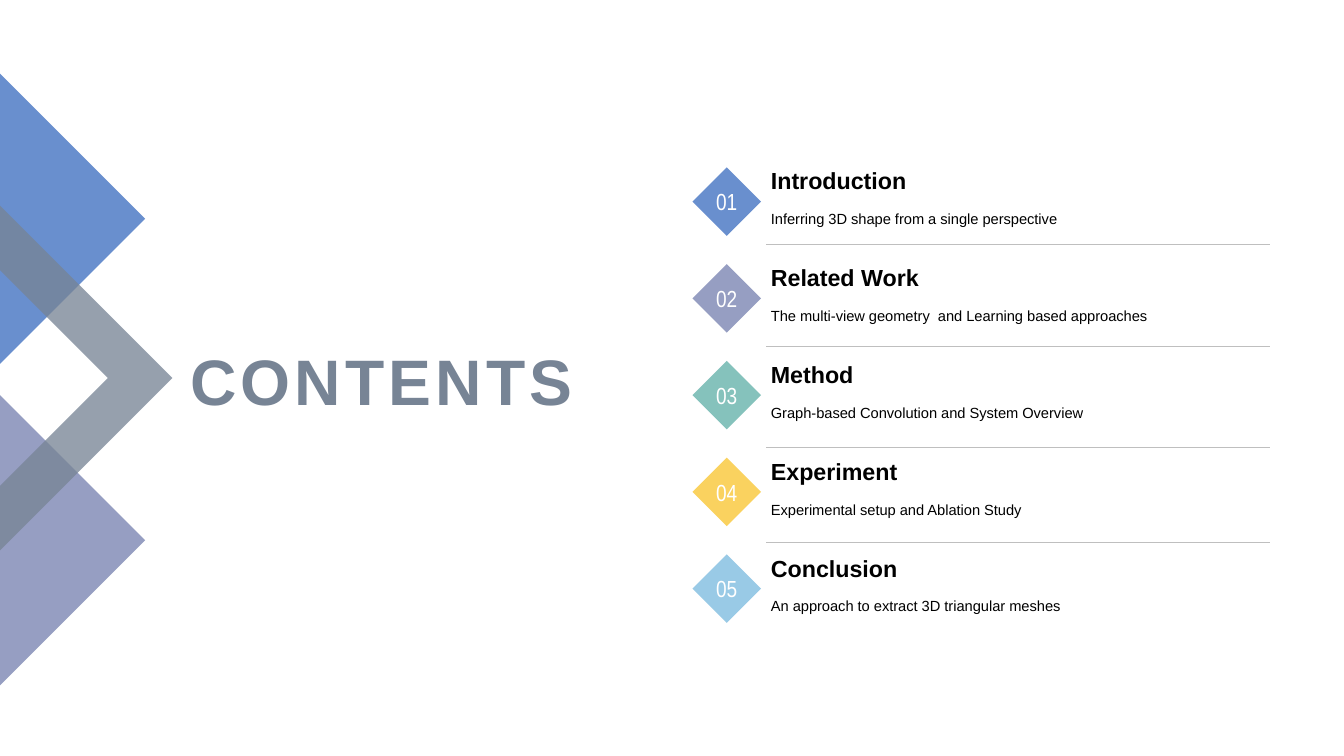
from lxml import etree
from pptx import Presentation
from pptx.dml.color import RGBColor
from pptx.enum.shapes import MSO_CONNECTOR, MSO_SHAPE
from pptx.enum.text import MSO_ANCHOR, PP_ALIGN
from pptx.oxml.ns import qn
from pptx.util import Pt

PX = 9144
HUES = {
    "blue": "698FCE", "mauve": "969EC2", "teal": "85C2BC", "gold": "FAD25F",
    "sky": "99CAE6", "slate": "778495", "rule": "BFBFBF",
    "black": "000000", "white": "FFFFFF",
}

deck = Presentation()
deck.slide_width, deck.slide_height = 12192000, 6858000
slide = deck.slides.add_slide(deck.slide_layouts[6])
shapes = slide.shapes


def paint(shape, hue):
    shape.shadow.inherit = False
    shape.fill.solid()
    shape.fill.fore_color.rgb = RGBColor.from_string(HUES[hue])
    shape.line.fill.background()


def write(shape, text, size, hue, anchor, align=PP_ALIGN.LEFT, face="Arial", bold=False, wrap=True):
    frame = shape.text_frame
    frame.word_wrap = wrap
    frame.vertical_anchor = anchor
    para = frame.paragraphs[0]
    para.text = text
    para.alignment = align
    font = para.font
    font.name, font.size, font.bold = face, Pt(size), bold
    font.color.rgb = RGBColor.from_string(HUES[hue])
    return para


wedges = [
    ("mauve", [(0, 392), (144, 536), (0, 680)]),
    ("blue", [(0, 73), (144, 217), (0, 361)]),
    ("slate", [(171, 375), (0, 546), (0, 482), (107, 375), (0, 268), (0, 204)]),
]
for hue, points in wedges:
    pen = shapes.build_freeform(*points[0], scale=PX)
    pen.add_line_segments(points[1:])
    wedge = pen.convert_to_shape()
    paint(wedge, hue)
    if hue == "slate":
        tint = wedge.fill._xPr.find(qn("a:solidFill"))[0]
        etree.SubElement(tint, qn("a:alpha")).set("val", "77000")

box = shapes.add_textbox(169 * PX, 326 * PX, 409 * PX, 101 * PX)
para = write(box, "CONTENTS", 45.9, "slate", MSO_ANCHOR.MIDDLE, PP_ALIGN.RIGHT, bold=True)
para.runs[0].font._element.set("spc", "300")

topics = [
    ("blue", "Introduction", "Inferring 3D shape from a single perspective"),
    ("mauve", "Related Work", "The multi-view geometry  and Learning based approaches"),
    ("teal", "Method", "Graph-based Convolution and System Overview"),
    ("gold", "Experiment", "Experimental setup and Ablation Study"),
    ("sky", "Conclusion", "An approach to extract 3D triangular meshes"),
]
for i, (hue, title, note) in enumerate(topics):
    top = 166 + 96 * i
    gem = shapes.add_shape(MSO_SHAPE.DIAMOND, 687 * PX, top * PX, 68 * PX, 68 * PX)
    paint(gem, hue)
    write(gem, f"{i + 1:02}", 16.6, "white", MSO_ANCHOR.MIDDLE, PP_ALIGN.CENTER,
          "Arial Narrow", wrap=False)
    head = shapes.add_textbox(755 * PX, (top - 1) * PX, 433 * PX, 33 * PX)
    write(head, title, 16.6, "black", MSO_ANCHOR.BOTTOM, bold=True)
    body = shapes.add_textbox(755 * PX, (top + 32) * PX, 500 * PX, 35 * PX)
    write(body, note, 10.5, "black", MSO_ANCHOR.MIDDLE).line_spacing = 1.2

for y in (242, 343, 444, 538):
    rule = shapes.add_connector(MSO_CONNECTOR.STRAIGHT, 760 * PX, y * PX, 1260 * PX, y * PX)
    rule.line.color.rgb = RGBColor.from_string(HUES["rule"])
    rule.line.width = Pt(0.25)
    etree.SubElement(rule._element.spPr, qn("a:effectLst"))

deck.save("out.pptx")
